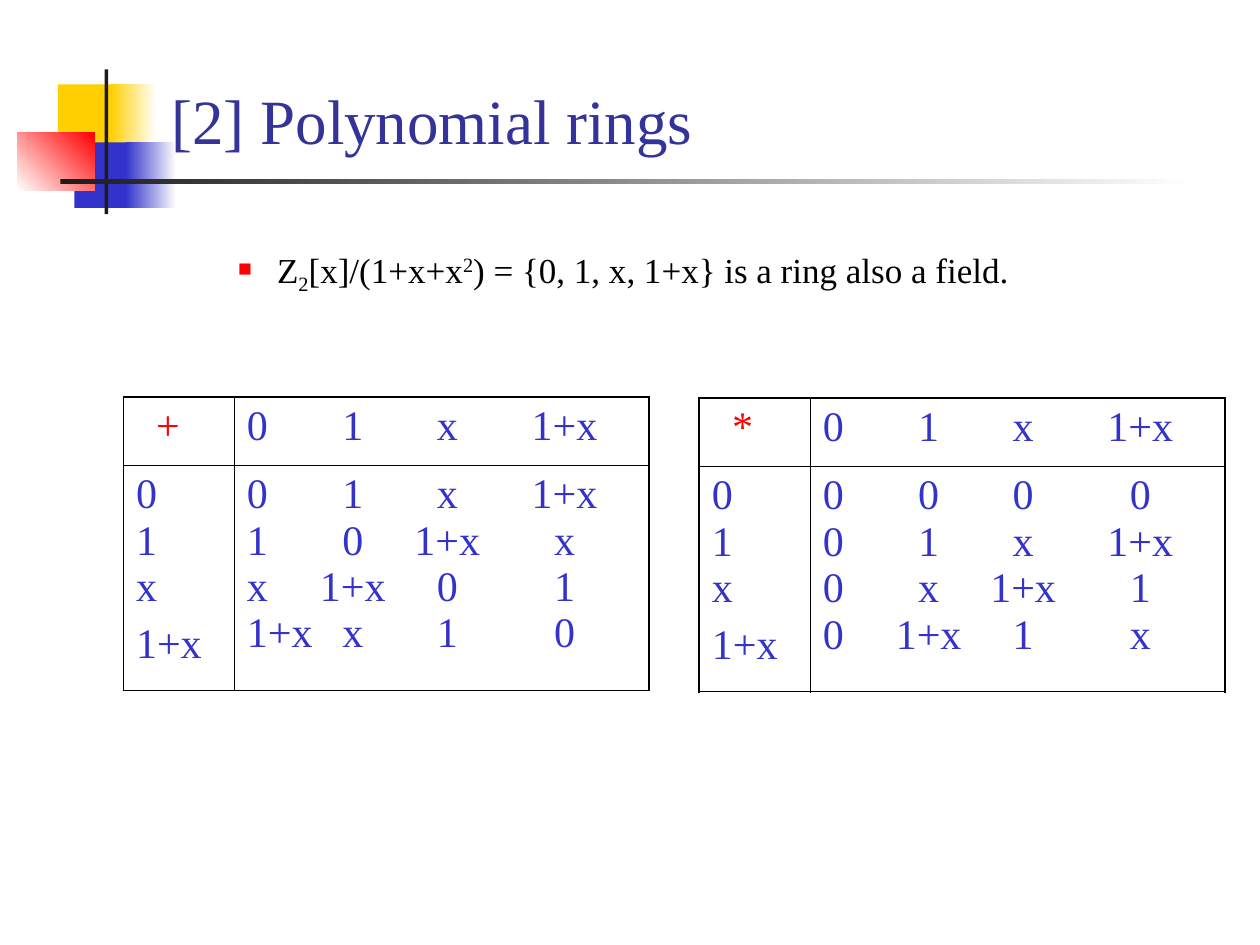
from lxml import etree
from pptx import Presentation
from pptx.dml.color import RGBColor
from pptx.enum.shapes import MSO_SHAPE as Shape
from pptx.enum.text import MSO_ANCHOR as Anchor, MSO_AUTO_SIZE as AutoSize, PP_ALIGN as Align
from pptx.oxml.ns import qn
from pptx.util import Inches, Pt

WHITE = RGBColor(0xFF, 0xFF, 0xFF)
BLACK = RGBColor(0x00, 0x00, 0x00)
YELLOW = RGBColor(0xFF, 0xCF, 0x01)
BLUE = RGBColor(0x33, 0x33, 0xCC)
NAVY = RGBColor(0x33, 0x33, 0x99)
RED = RGBColor(0xFF, 0x00, 0x00)
DARK = RGBColor(0x1C, 0x1C, 0x1C)

FONT = "Times New Roman"
THICK, THIN = 1.08, 0.45
COLUMN_STOPS = (0.84, 1.59, 2.52)
ELEMENTS = ["0", "1", "x", "1+x"]
SUMS = [ELEMENTS, ["1", "0", "1+x", "x"], ["x", "1+x", "0", "1"], ["1+x", "x", "1", "0"]]
PRODUCTS = [["0"] * 4, ELEMENTS, ["0", "x", "1+x", "1"], ["0", "1+x", "1", "x"]]

DECORATION = [
    ((0.46, 0.67, 0.48, 0.52), [YELLOW], 0),
    ((0.88, 0.67, 0.36, 0.52), [YELLOW, WHITE], 0),
    ((0.59, 1.13, 0.46, 0.52), [BLUE], 0),
    ((1, 1.13, 0.4, 0.52), [BLUE, WHITE], 0),
    ((0.14, 1.05, 0.61, 0.46), [WHITE, RED], 45),
    ((0.83, 0.55, 0.03, 1.15), [DARK], 0),
    ((0.48, 1.42, 9, 0.04), [DARK, WHITE], 0),
]


def add_child(parent, tag, **attrs):
    return etree.SubElement(parent, qn(tag), {k: str(v) for k, v in attrs.items()})


def style_runs(p, size, color):
    for r in p.runs:
        for name, value in {"name": FONT, "size": Pt(size), "bold": False}.items():
            setattr(r.font, name, value)
        r.font.color.rgb = color


def add_block(s, box, colors, angle):
    sp = s.shapes.add_shape(Shape.RECTANGLE, *map(Inches, box))
    sp.shadow.inherit = False
    sp.line.fill.background()
    if len(colors) == 1:
        sp.fill.solid()
        sp.fill.fore_color.rgb = colors[0]
        return
    sp.fill.gradient()
    sp.fill.gradient_angle = angle
    for stop, color in zip(sp.fill.gradient_stops, colors):
        stop.color.rgb = color


def set_title(s, text):
    title = s.shapes.title
    title.left, title.top, title.width, title.height = map(Inches, (1.26, 0.23, 8.52, 1.07))
    tf = title.text_frame
    tf.text = text
    for name, value in {"vertical_anchor": Anchor.BOTTOM, "auto_size": AutoSize.NONE,
                        "word_wrap": True}.items():
        setattr(tf, name, value)
    p = tf.paragraphs[0]
    p.alignment = Align.LEFT
    style_runs(p, 36, NAVY)
    title.element.getparent().append(title.element)


def add_bullet(s, pieces):
    tf = s.shapes.add_textbox(*map(Inches, (1.29, 1.92, 8.51, 0.5))).text_frame
    tf.word_wrap = True
    p = tf.paragraphs[0]
    for text, baseline in pieces:
        r = p.add_run()
        r.text = text
        if baseline:
            r.font.element.set("baseline", str(baseline * 1000)) if hasattr(r.font, "element") \
                else r._r.get_or_add_rPr().set("baseline", str(baseline * 1000))
    style_runs(p, 20, BLACK)
    pPr = p._p.get_or_add_pPr()
    pPr.set("marL", str(Inches(0.81)))
    pPr.set("indent", str(Inches(-0.31)))
    add_child(add_child(pPr, "a:buClr"), "a:srgbClr", val=RED)
    add_child(pPr, "a:buSzPct", val=55000)
    add_child(pPr, "a:buChar", char="■")


def set_borders(cell, widths):
    tcPr = cell._tc.get_or_add_tcPr()
    for side, width in zip("LRTB", widths):
        ln = add_child(tcPr, f"a:ln{side}", w=int(Pt(width)))
        add_child(add_child(ln, "a:solidFill"), "a:srgbClr", val=BLACK)


def fill_cell(cell, paragraphs, color=BLUE):
    tf = cell.text_frame
    for i, lines in enumerate(paragraphs):
        p = tf.add_paragraph() if i else tf.paragraphs[0]
        p.text = "\v".join("\t".join(line) for line in lines)
        p.space_before = Pt(6)
        style_runs(p, 24, color)
        if len(lines[0]) > 1:
            tabs = add_child(p._p.get_or_add_pPr(), "a:tabLst")
            for stop in COLUMN_STOPS:
                add_child(tabs, "a:tab", pos=int(Inches(stop)), algn="ctr")


def add_operation_table(s, left, top, symbol, results):
    frame = s.shapes.add_table(2, 2, *map(Inches, (left, top, 4.17, 2.33)))
    table = frame.table
    table.first_row = table.horz_banding = False
    for i, (width, height) in enumerate(zip((0.88, 3.29), (0.54, 1.79))):
        table.columns[i].width = Inches(width)
        table.rows[i].height = Inches(height)
    outer, inner = (THICK, THIN), (THIN, THICK)
    for row, vertical in enumerate((outer, inner)):
        for col, horizontal in enumerate((outer, inner)):
            cell = table.cell(row, col)
            set_borders(cell, horizontal + vertical)
            cell.fill.background()
    table.cell(0, 0).margin_left = Inches(0.26)
    fill_cell(table.cell(0, 0), [[[symbol]]], RED)
    fill_cell(table.cell(0, 1), [[ELEMENTS]])
    fill_cell(table.cell(1, 0), [[[e] for e in ELEMENTS[:3]], [ELEMENTS[3:]]])
    fill_cell(table.cell(1, 1), [results])


def main():
    prs = Presentation()
    prs.slide_width, prs.slide_height = Inches(10), Inches(7.5)
    s = prs.slides.add_slide(prs.slide_layouts[5])
    for box, colors, angle in DECORATION:
        add_block(s, box, colors, angle)
    set_title(s, "[2] Polynomial rings")
    add_bullet(s, [("Z", 0), ("2", -25), ("[x]/(1+x+x", 0), ("2", 30),
                   (") = {0, 1, x, 1+x} is a ring also a field.", 0)])
    add_operation_table(s, 0.98, 3.15, "+", SUMS)
    add_operation_table(s, 5.55, 3.16, "*", PRODUCTS)
    prs.save("out.pptx")


if __name__ == "__main__":
    main()
